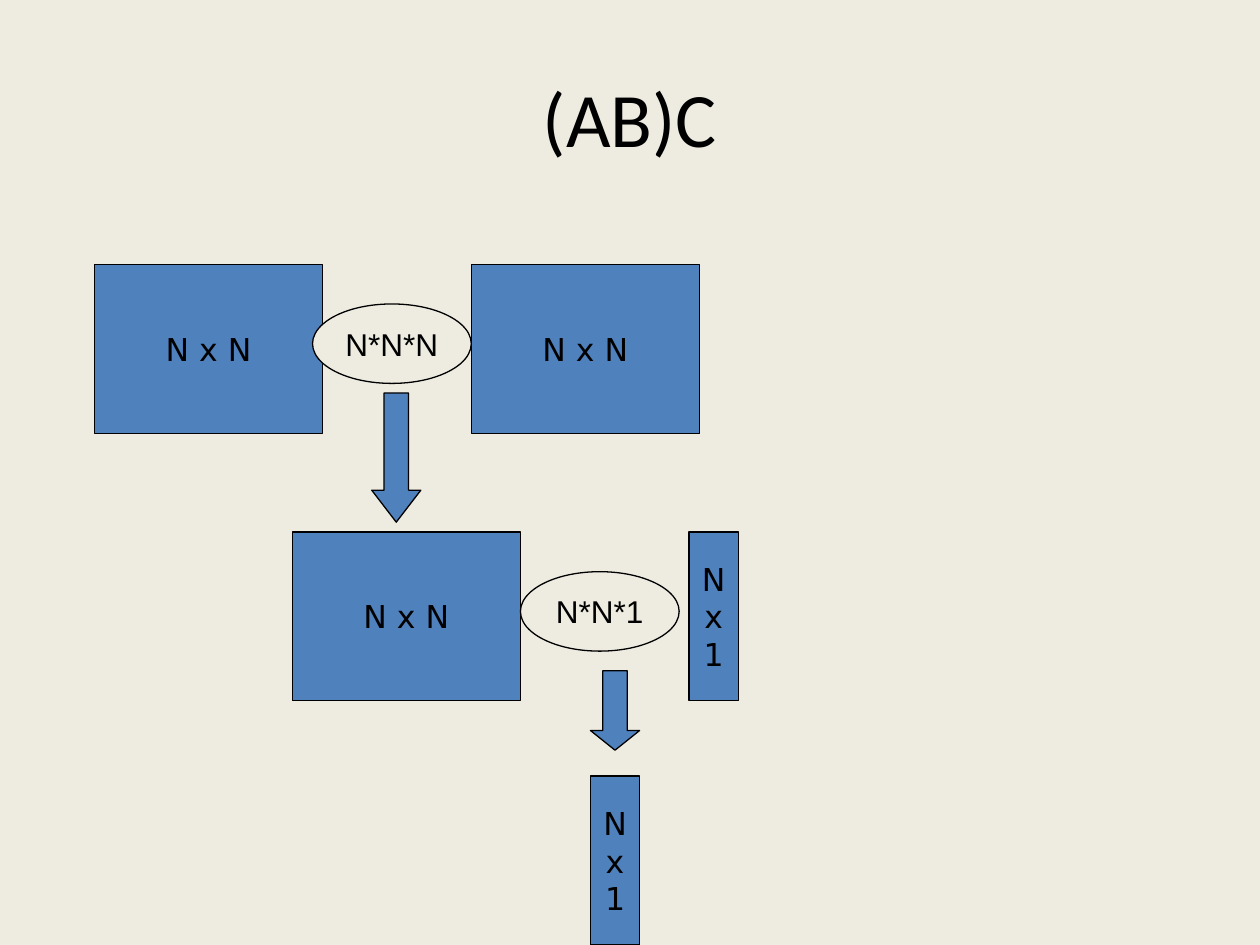
from dataclasses import dataclass

from pptx import Presentation
from pptx.dml.color import RGBColor
from pptx.enum.shapes import MSO_SHAPE
from pptx.enum.text import MSO_ANCHOR, PP_ALIGN
from pptx.util import Pt


@dataclass(frozen=True)
class Theme:
    background: RGBColor = RGBColor(0xEE, 0xEC, 0xE1)
    matrix: RGBColor = RGBColor(0x4F, 0x81, 0xBD)
    ink: RGBColor = RGBColor(0, 0, 0)
    title_size: float = 44
    label_size: float = 18
    line_width: float = 0.75
    title_font: str = "Calibri"
    matrix_font: str = "DejaVu Sans"
    cost_font: str = "Arial"


THEME = Theme()
MATRIX_SIZE = (130.3, 96.5)
VECTOR_SIZE = (28.1, 96.5)
COST_SIZE = (90.7, 45.4)
ARROW_WIDTH = 28.1
MATRIX_LINES = ["N x N"]
VECTOR_LINES = ["N", "x", "1"]


def write_text(shape, lines, font_name, font_size, wrap=False):
    frame = shape.text_frame
    frame.word_wrap = wrap
    frame.vertical_anchor = MSO_ANCHOR.MIDDLE
    frame.text = "\n".join(lines)
    font_format = {"name": font_name, "size": Pt(font_size)}
    for paragraph in frame.paragraphs:
        paragraph.alignment = PP_ALIGN.CENTER
        for name, value in font_format.items():
            setattr(paragraph.font, name, value)
        paragraph.font.color.rgb = THEME.ink


def add_outlined(slide, kind, left, top, size, fill):
    shape = slide.shapes.add_shape(kind, Pt(left), Pt(top), *map(Pt, size))
    shape.shadow.inherit = False
    shape.fill.solid()
    shape.fill.fore_color.rgb = fill
    shape.line.color.rgb = THEME.ink
    shape.line.width = Pt(THEME.line_width)
    return shape


def add_matrix(slide, left, top, size, lines):
    shape = add_outlined(slide, MSO_SHAPE.RECTANGLE, left, top, size, THEME.matrix)
    write_text(shape, lines, THEME.matrix_font, THEME.label_size)


def add_title(slide, left, top, width, height, text):
    box = slide.shapes.add_textbox(Pt(left), Pt(top), Pt(width), Pt(height))
    write_text(box, [text], THEME.title_font, THEME.title_size, wrap=True)


def add_product(slide, left, top, right_factor, cost, arrow):
    """Place two factors, the cost between them and the arrow to the result."""
    add_matrix(slide, left, top, MATRIX_SIZE, MATRIX_LINES)
    offset, size, lines = right_factor
    add_matrix(slide, left + offset, top, size, lines)

    # Multiplication cost
    offset_x, offset_y, label = cost
    ellipse = add_outlined(slide, MSO_SHAPE.OVAL, left + offset_x, top + offset_y,
                           COST_SIZE, THEME.background)
    write_text(ellipse, [label], THEME.cost_font, THEME.label_size)

    # Arrow to the next step
    offset_x, offset_y, height, head = arrow
    down_arrow = add_outlined(slide, MSO_SHAPE.DOWN_ARROW, left + offset_x,
                              top + offset_y, (ARROW_WIDTH, height), THEME.matrix)
    down_arrow.adjustments[0] = 0.5
    down_arrow.adjustments[1] = head


def main():
    presentation = Presentation()
    presentation.slide_width, presentation.slide_height = Pt(720), Pt(540)
    slide = presentation.slides.add_slide(presentation.slide_layouts[6])
    slide.background.fill.solid()
    slide.background.fill.fore_color.rgb = THEME.background

    add_title(slide, 36, 21.6, 648, 90, "(AB)C")
    # A times B
    add_product(slide, 54, 151.2,
                right_factor=(215.3, MATRIX_SIZE, MATRIX_LINES),
                cost=(124.6, 22.5, "N*N*N"),
                arrow=(158.4, 73.4, 73.8, 0.65))
    # AB times C
    add_product(slide, 167, 304,
                right_factor=(226.8, VECTOR_SIZE, VECTOR_LINES),
                cost=(130.4, 22.7, "N*N*1"),
                arrow=(170.4, 79.3, 45.4, 0.4))
    # Final vector
    add_matrix(slide, 337.4, 443.5, VECTOR_SIZE, VECTOR_LINES)

    presentation.save("out.pptx")


if __name__ == "__main__":
    main()
